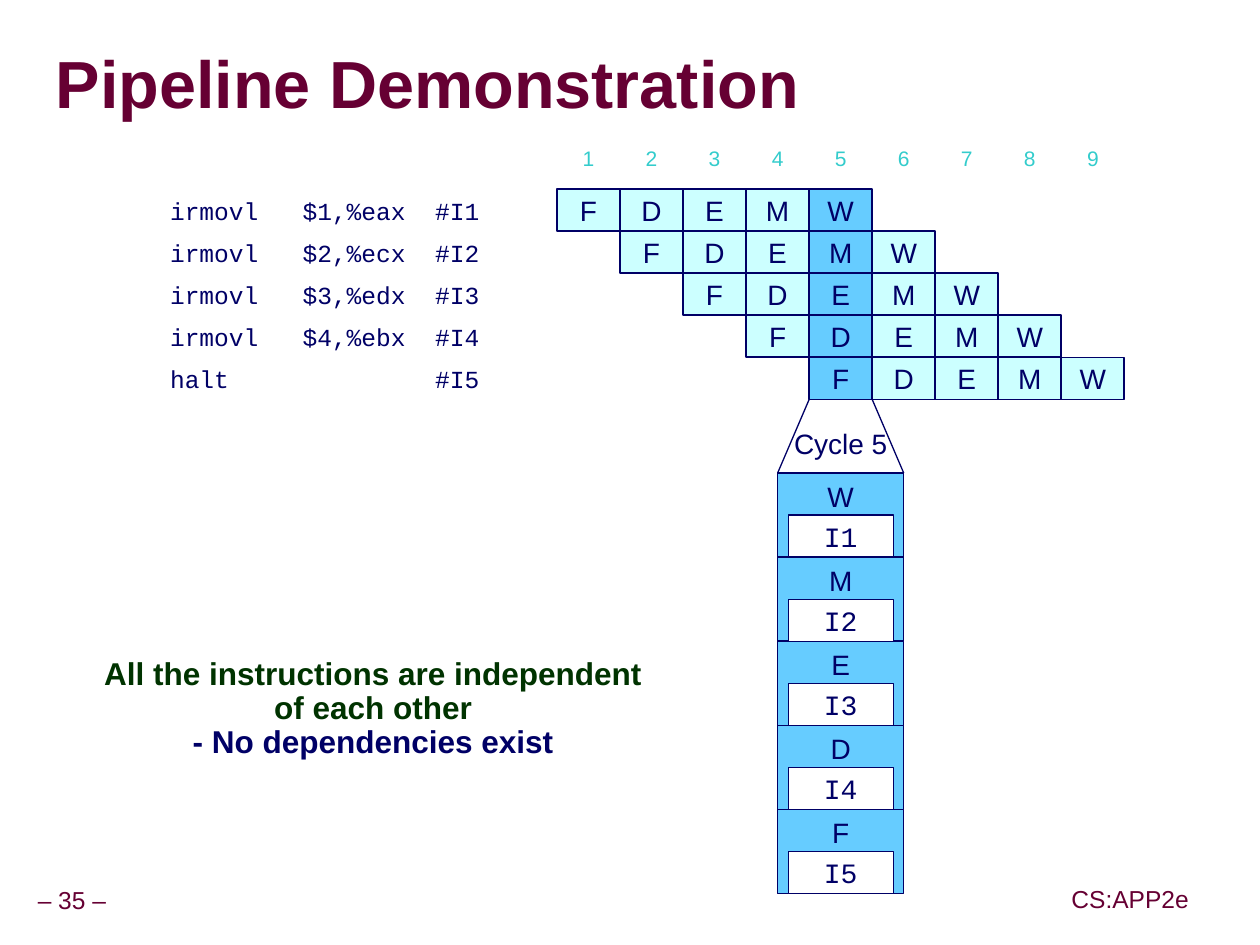
from lxml.etree import SubElement
from pptx import Presentation
from pptx.dml.color import RGBColor
from pptx.enum.shapes import MSO_CONNECTOR, MSO_SHAPE
from pptx.enum.text import MSO_ANCHOR, PP_ALIGN
from pptx.oxml.ns import qn
from pptx.util import Emu, Pt

EMU_PER_PX = 7620  # 120 px to the inch
COLORS = {
    "title": "660033",
    "ink": "000066",
    "cycle": "33CCCC",
    "stage": "CCFFFF",
    "active": "66CCFF",
    "note": "003300",
    "white": "FFFFFF",
}
SANS, MONO = "Arial", "Courier New"
STAGES = "FDEMW"
PROGRAM = [
    "irmovl   $1,%eax  #I1",
    "irmovl   $2,%ecx  #I2",
    "irmovl   $3,%edx  #I3",
    "irmovl   $4,%ebx  #I4",
    "halt              #I5",
]
CYCLE_COUNT, ACTIVE_CYCLE = 9, 5
GRID_LEFT, GRID_TOP, COLUMN, ROW = 530, 180, 60, 40
STACK_LEFT, STACK_TOP, STACK_WIDTH = 740, 450, 120


def px(value):
    return Emu(value * EMU_PER_PX)


def color(name):
    return RGBColor.from_string(COLORS[name])


def write(shape, lines, size, font=SANS, align=PP_ALIGN.CENTER, anchor=MSO_ANCHOR.MIDDLE,
          wrap=False, inset=None, spacing=None, bold=False):
    """Fill a shape with paragraphs given as (text, colour name) pairs."""
    frame = shape.text_frame
    frame.word_wrap = wrap
    frame.vertical_anchor = anchor
    if inset is not None:
        frame.margin_left = frame.margin_right = px(inset)
        frame.margin_top = frame.margin_bottom = px(inset)
    for index, (text, ink) in enumerate(lines):
        paragraph = frame.add_paragraph() if index else frame.paragraphs[0]
        paragraph.text = text
        paragraph.alignment = align
        if spacing:
            paragraph.line_spacing = spacing
        paragraph.font.name = font
        paragraph.font.size = Pt(size)
        paragraph.font.bold = bold
        paragraph.font.color.rgb = color(ink)


def add_text(slide, box, lines, size, **style):
    shape = slide.shapes.add_textbox(*map(px, box))
    write(shape, lines, size, **style)
    return shape


def add_box(slide, box, text, size, fill="white", ink="ink", line_width=None, **style):
    shape = slide.shapes.add_shape(MSO_SHAPE.RECTANGLE, *map(px, box))
    shape.shadow.inherit = False
    shape.fill.solid()
    shape.fill.fore_color.rgb = color(fill)
    if line_width:
        shape.line.color.rgb = color("ink")
        shape.line.width = Pt(line_width)
    else:
        shape.line.fill.background()
    write(shape, [(text, ink)], size, **style)


def add_line(slide, start, end):
    line = slide.shapes.add_connector(MSO_CONNECTOR.STRAIGHT, *map(px, start + end))
    line.line.color.rgb = color("ink")
    line.line.width = Pt(0.75)
    SubElement(line._element.spPr, qn("a:effectLst"))


def add_title(slide, text):
    title = add_text(slide, (53, 32, 1142, 102), [(text, "title")], 38, align=PP_ALIGN.LEFT,
                     wrap=True, inset=0, spacing=0.87, bold=True)
    properties = title.text_frame.paragraphs[0].runs[0].font._element
    effects = SubElement(properties, qn("a:effectLst"))
    shadow = SubElement(effects, qn("a:outerShdw"), dist="38100", dir="2700000", algn="tl")
    SubElement(shadow, qn("a:srgbClr"), val="999999")


def add_pipeline(slide):
    for cycle in range(CYCLE_COUNT):
        add_box(slide, (GRID_LEFT + cycle * COLUMN, 130, COLUMN, ROW), str(cycle + 1), 12,
                ink="cycle")
    for row, instruction in enumerate(PROGRAM):
        top = GRID_TOP + row * ROW
        add_box(slide, (150, top, 340, ROW), instruction, 14, font=MONO, align=PP_ALIGN.LEFT)
        for cycle, stage in enumerate(STAGES, start=row):
            fill = "active" if cycle + 1 == ACTIVE_CYCLE else "stage"
            add_box(slide, (GRID_LEFT + cycle * COLUMN, top, COLUMN, ROW), stage, 16,
                    fill=fill, line_width=1)


def add_active_cycle(slide):
    """Enlarge the active cycle's column into a stack of stages and instructions."""
    column_left = GRID_LEFT + (ACTIVE_CYCLE - 1) * COLUMN
    grid_bottom = GRID_TOP + len(PROGRAM) * ROW
    add_line(slide, (column_left, grid_bottom), (STACK_LEFT, STACK_TOP))
    add_line(slide, (column_left + COLUMN, grid_bottom), (STACK_LEFT + STACK_WIDTH, STACK_TOP))
    add_text(slide, (STACK_LEFT, 400, STACK_WIDTH, 44), [(f"Cycle {ACTIVE_CYCLE}", "ink")], 16,
             anchor=MSO_ANCHOR.TOP, wrap=True)
    for index, stage in enumerate(reversed(STAGES)):
        top = STACK_TOP + index * 2 * ROW
        add_box(slide, (STACK_LEFT, top, STACK_WIDTH, 2 * ROW), stage, 16, fill="active",
                line_width=0.75, anchor=MSO_ANCHOR.TOP)
        add_box(slide, (STACK_LEFT + 10, top + ROW, STACK_WIDTH - 20, ROW), f"I{index + 1}", 16,
                line_width=0.75, font=MONO)


def main():
    presentation = Presentation()
    presentation.slide_width, presentation.slide_height = px(1199), px(899)
    slide = presentation.slides.add_slide(presentation.slide_layouts[6])
    for box, text in [((29, 839, 79, 37), "– 35 –"), ((1013, 838, 125, 37), "CS:APP2e")]:
        add_text(slide, box, [(text, "title")], 14, inset=6, spacing=0.9)
    add_title(slide, "Pipeline Demonstration")
    add_pipeline(slide)
    add_active_cycle(slide)
    note = [
        ("All the instructions are independent", "note"),
        ("of each other", "note"),
        ("- No dependencies exist", "ink"),
    ]
    add_text(slide, (59, 620, 592, 110), note, 18, anchor=MSO_ANCHOR.TOP, wrap=True,
             spacing=0.9, bold=True)
    presentation.save("out.pptx")


if __name__ == "__main__":
    main()
